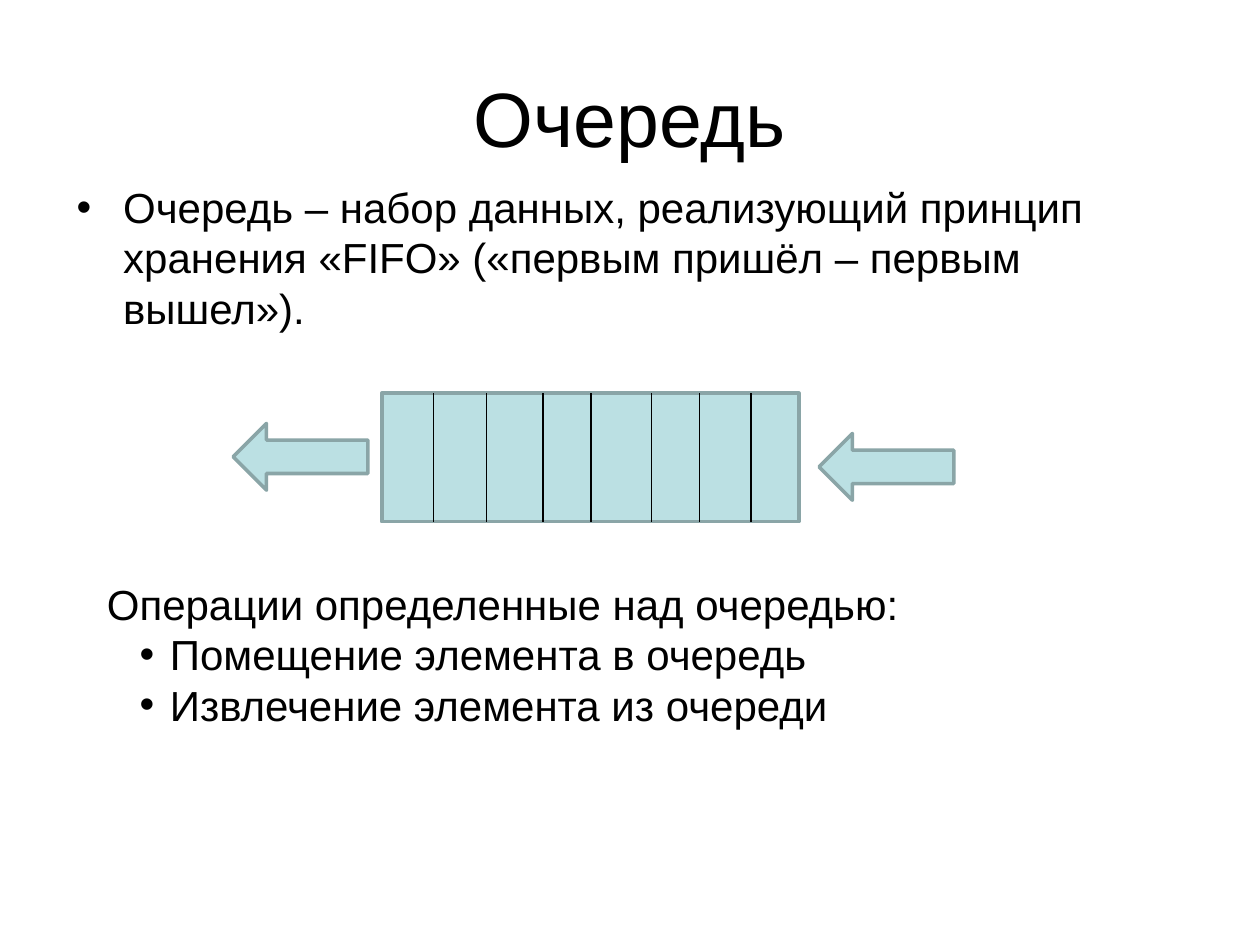
"""Build a slide that explains the queue and its two operations."""
from lxml.etree import SubElement
from pptx import Presentation
from pptx.dml.color import RGBColor as RGB
from pptx.enum.shapes import MSO_CONNECTOR as LINK, MSO_SHAPE as SHAPE
from pptx.enum.text import MSO_ANCHOR as ANCHOR, PP_ALIGN as ALIGN
from pptx.oxml.ns import qn
from pptx.util import Inches, Pt

COLORS = {"ink": "000000", "fill": "BBE0E3", "edge": "8AA5A7"}


def write(para, text, size=24, indent=None):
    run = para.add_run()
    run.text = text
    run.font.name = "Arial"
    run.font.size = Pt(size)
    run.font.color.rgb = RGB.from_string(COLORS["ink"])
    if indent:
        left, hang = indent
        props = para._p.get_or_add_pPr()
        props.set("marL", str(Inches(left)))
        props.set("indent", str(Inches(hang)))
        SubElement(props, qn("a:buFont"), typeface="Arial")
        SubElement(props, qn("a:buChar"), char="•")


def draw(kind, left, top, width, height):
    shape = slide.shapes.add_shape(kind, Inches(left), Inches(top), Inches(width), Inches(height))
    shape.shadow.inherit = False
    shape.fill.solid()
    shape.fill.fore_color.rgb = RGB.from_string(COLORS["fill"])
    shape.line.color.rgb = RGB.from_string(COLORS["edge"])
    shape.line.width = Pt(2)
    return shape


deck = Presentation()
deck.slide_width, deck.slide_height = Inches(10), Inches(7.5)
slide = deck.slides.add_slide(deck.slide_layouts[5])

title = slide.shapes.title
title.left, title.top = Inches(0.5), Inches(0.3)
title.width, title.height = Inches(9), Inches(1.25)
title.text_frame.vertical_anchor = ANCHOR.MIDDLE
head = title.text_frame.paragraphs[0]
head.alignment = ALIGN.CENTER
write(head, "Очередь", 44)

intro = slide.shapes.add_textbox(Inches(0.5), Inches(1.39), Inches(9), Inches(1.02)).text_frame
intro.word_wrap = True
intro.paragraphs[0].space_before = Pt(4.8)
write(
    intro.paragraphs[0],
    "Очередь – набор данных, реализующий принцип хранения «FIFO» («первым пришёл – первым вышел»).",
    indent=(0.38, -0.37),
)

top, height = 3.12, 1.02
draw(SHAPE.RECTANGLE, 3.03, top, 3.31, height)
for x in (3.44, 3.86, 4.31, 4.69, 5.17, 5.55, 5.96):
    line = slide.shapes.add_connector(
        LINK.STRAIGHT, Inches(x), Inches(top), Inches(x), Inches(top + height)
    )
    line.line.color.rgb = RGB.from_string(COLORS["ink"])
    line.line.width = Pt(0.75)
    SubElement(line._element.spPr, qn("a:effectLst"))

for left, y in ((6.5, 3.44), (1.85, 3.36)):
    arrow = draw(SHAPE.RIGHT_ARROW, left, y, 1.07, 0.53)
    arrow.rotation = 180

tasks = slide.shapes.add_textbox(Inches(0.75), Inches(4.54), Inches(8.58), Inches(1.53)).text_frame
tasks.word_wrap = True
write(tasks.paragraphs[0], "Операции определенные над очередью:")
for text in ("Помещение элемента в очередь", "Извлечение элемента из очереди"):
    para = tasks.add_paragraph()
    para.level = 1
    write(para, text, indent=(0.5, -0.24))

deck.save("out.pptx")
